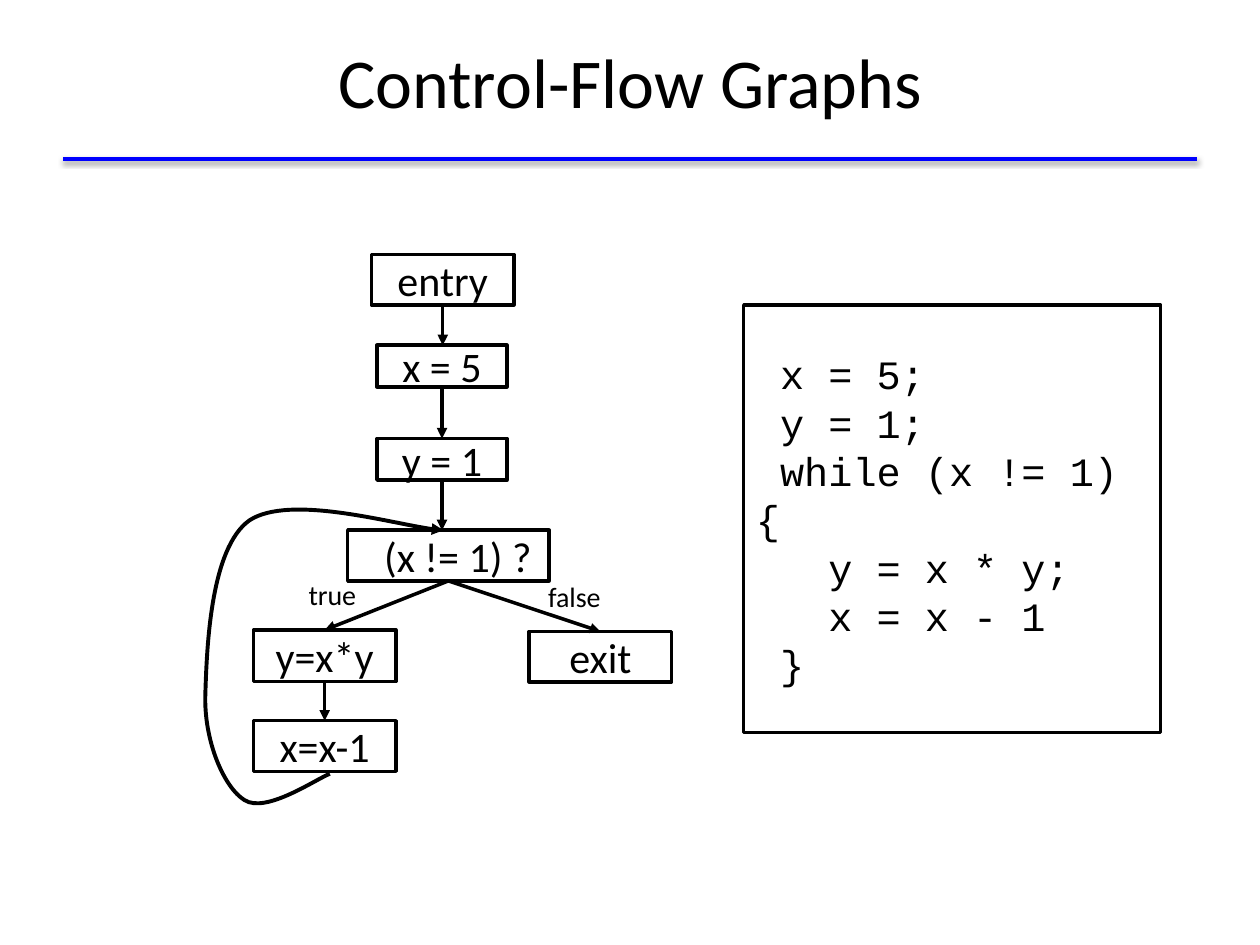
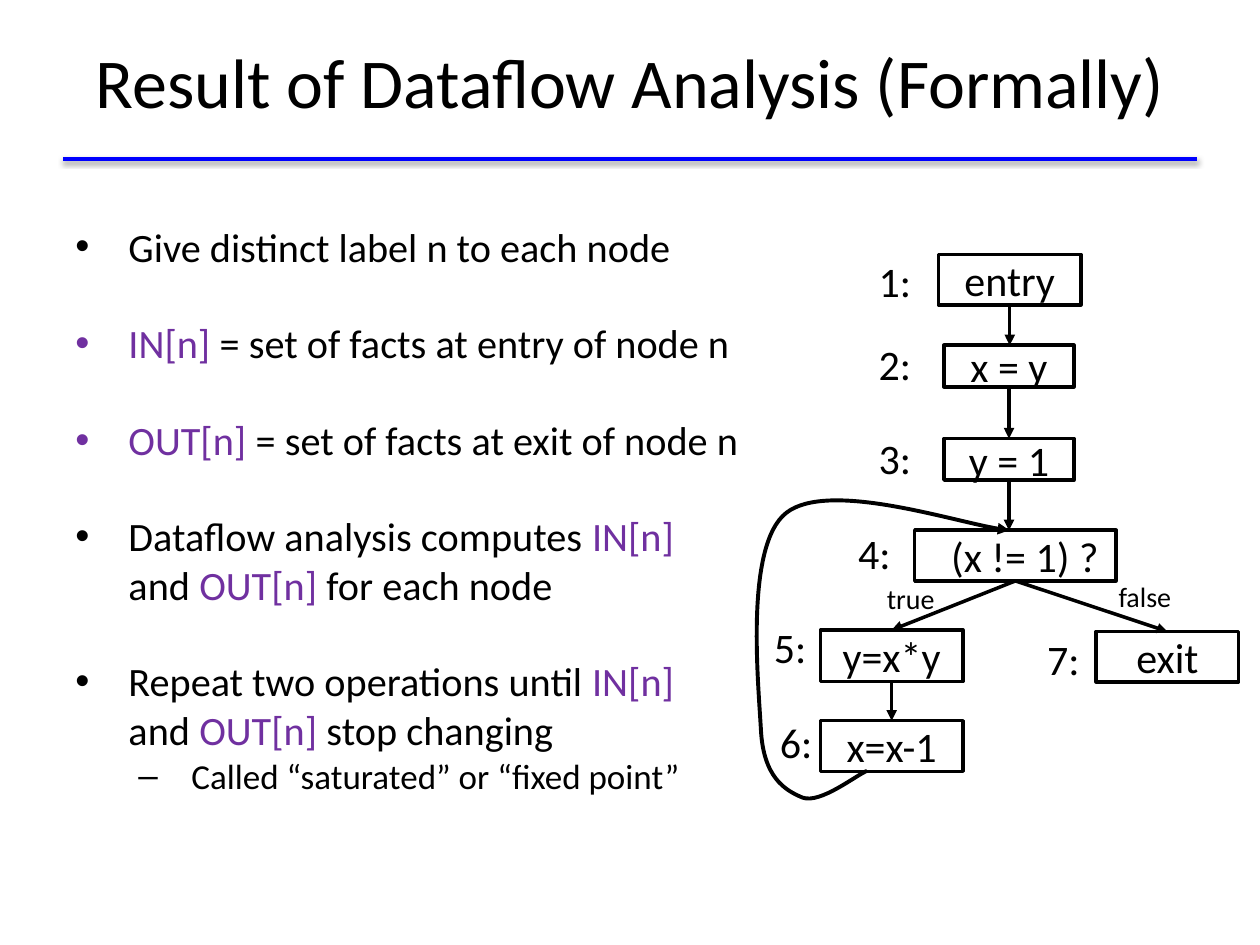
from dataclasses import dataclass

from lxml import etree
from pptx import Presentation
from pptx.dml.color import RGBColor
from pptx.enum.shapes import MSO_CONNECTOR, MSO_SHAPE
from pptx.enum.text import MSO_ANCHOR, MSO_AUTO_SIZE, PP_ALIGN
from pptx.oxml import parse_xml
from pptx.oxml.ns import nsdecls, qn
from pptx.util import Cm, Pt

STRAIGHT = MSO_CONNECTOR.STRAIGHT
RECTANGLE = MSO_SHAPE.RECTANGLE
MIDDLE, TOP = MSO_ANCHOR.MIDDLE, MSO_ANCHOR.TOP
NO_AUTOFIT = MSO_AUTO_SIZE.NONE
LEFT, CENTER = PP_ALIGN.LEFT, PP_ALIGN.CENTER

COLORS = {"ink": "000000", "rule": "0000FF", "fact": "7030A0"}
TEXT_FONT, CODE_FONT = "Calibri", "Courier New"
TITLE_ONLY, TITLE_AND_BODY = 5, 1
LINE_PITCH = 27.6  # points, for code and list
GRAPH_SHIFT = 11.43  # cm from the left graph to the right one


# All lengths in the records below are centimetres.
@dataclass(frozen=True)
class Node:
    left: float
    top: float
    width: float = 2.87
    height: float = 1.02
    indent: float = 0.0

    @property
    def center(self) -> float:
        return self.left + self.width / 2

    @property
    def bottom(self) -> float:
        return self.top + self.height


@dataclass(frozen=True)
class Label:
    text: str
    left: float
    top: float
    align: PP_ALIGN = LEFT
    size: int = 16
    width: float = 1.7
    height: float = 0.91


@dataclass(frozen=True)
class Graph:
    shift: float
    first_statement: str
    loop_start: tuple
    loop_curves: tuple  # each: two control points and an end point
    labels: tuple


NODES = {
    "entry": Node(7.49, 5.13),
    "first": Node(7.6, 6.96, 2.62, 0.84),
    "second": Node(7.6, 8.84, 2.62, 0.84),
    "test": Node(7.01, 10.69, 4.06, indent=0.38),
    "multiply": Node(5.11, 12.7, height=1.04),
    "decrement": Node(5.11, 14.53),
    "exit": Node(10.67, 12.73),
}
STEPS = [("entry", "first"), ("first", "second"), ("second", "test"),
         ("multiply", "decrement")]
BRANCHES = [("test", "multiply"), ("test", "exit")]


# Text and line helpers
def add_run(para, text: str, size: float, color: str = "ink",
            font: str = TEXT_FONT) -> None:
    span = para.add_run()
    span.text = text
    span.font.name = font
    span.font.size = Pt(size)
    span.font.color.rgb = RGBColor.from_string(COLORS[color])


def set_frame(frame, anchor=MIDDLE, side: float = 0.25,
              edge: float = 0.13, indent: float = 0.0) -> None:
    frame.word_wrap = True
    frame.auto_size = NO_AUTOFIT
    frame.vertical_anchor = anchor
    frame.margin_left, frame.margin_right = Cm(side + indent), Cm(side)
    frame.margin_top = frame.margin_bottom = Cm(edge)


def place(box, left: float, top: float, width: float, height: float) -> None:
    box.left, box.top = Cm(left), Cm(top)
    box.width, box.height = Cm(width), Cm(height)


def set_line(shape, width: float, color: str = "ink", arrow: bool = False) -> None:
    shape.line.color.rgb = RGBColor.from_string(COLORS[color])
    shape.line.width = Pt(width)
    if arrow:
        outline = shape.element.spPr.find(qn("a:ln"))
        etree.SubElement(outline, qn("a:tailEnd"), type="triangle")


def add_line(page, start: tuple, end: tuple, color: str = "ink",
             arrow: bool = True):
    line = page.shapes.add_connector(STRAIGHT, *map(Cm, start + end))
    set_line(line, 2, color, arrow)
    effects = etree.SubElement(line.element.spPr, qn("a:effectLst"))
    return line, effects


def add_box(page, node: Node, shift: float = 0, width: float = 2):
    box = page.shapes.add_shape(RECTANGLE, Cm(node.left + shift), Cm(node.top),
                                Cm(node.width), Cm(node.height))
    box.shadow.inherit = False
    box.fill.background()
    set_line(box, width)
    set_frame(box.text_frame, indent=node.indent)
    return box


# Shared slide parts
def add_master_rule(deck, page) -> None:
    line, effects = add_line(page, (1.27, 3.2), (22.86 + 1.27, 3.2), "rule", False)
    effects.append(parse_xml(
        f'<a:outerShdw {nsdecls("a")} blurRad="40000" dist="20000" dir="5400000" '
        'rotWithShape="0"><a:srgbClr val="000000"><a:alpha val="38000"/>'
        "</a:srgbClr></a:outerShdw>"))
    deck.slide_master.shapes.element.append(line.element)


def add_page(deck, layout: int, title: str):
    page = deck.slides.add_slide(deck.slide_layouts[layout])
    box = page.shapes.title
    place(box, 1.27, 0.03, 22.86, 3.18)
    set_frame(box.text_frame)
    para = box.text_frame.paragraphs[0]
    para.alignment = CENTER
    add_run(para, title, 40)
    return page


# Control-flow graph
def add_loop(page, graph: Graph) -> None:
    builder = page.shapes.build_freeform(*map(Cm, graph.loop_start))
    ends = [tuple(map(Cm, curve[-1])) for curve in graph.loop_curves]
    builder.add_line_segments(ends, close=False)
    loop = builder.convert_to_shape()
    loop.shadow.inherit = False
    loop.fill.background()
    set_line(loop, 2.25, arrow=True)
    # Turn each straight segment into a Bezier curve
    segments = list(loop.element.iter(qn("a:lnTo")))
    for segment, curve in zip(segments, graph.loop_curves):
        bezier = etree.Element(qn("a:cubicBezTo"))
        for x, y in curve:
            etree.SubElement(bezier, qn("a:pt"), x=str(Cm(x) - loop.left),
                             y=str(Cm(y) - loop.top))
        segment.getparent().replace(segment, bezier)


def add_label(page, label: Label) -> None:
    box = page.shapes.add_textbox(Cm(label.left), Cm(label.top),
                                  Cm(label.width), Cm(label.height))
    set_frame(box.text_frame, edge=0.25)
    para = box.text_frame.paragraphs[0]
    para.alignment = label.align
    add_run(para, label.text, label.size)


def add_graph(page, graph: Graph) -> None:
    texts = {"entry": "entry", "first": graph.first_statement, "second": "y = 1",
             "test": "(x != 1) ?", "multiply": "y=x*y", "decrement": "x=x-1",
             "exit": "exit"}
    add_loop(page, graph)
    for name, node in NODES.items():
        para = add_box(page, node, graph.shift).text_frame.paragraphs[0]
        para.alignment = CENTER
        add_run(para, texts[name], 24)
    for source, target in STEPS + BRANCHES:
        start, end = NODES[source], NODES[target]
        end_x = end.center if (source, target) in BRANCHES else start.center
        add_line(page, (start.center + graph.shift, start.bottom),
                 (end_x + graph.shift, end.top))
    for label in graph.labels:
        add_label(page, label)


def number(text: str, left: float, top: float, align: PP_ALIGN = CENTER) -> Label:
    return Label(text, left, top, align, 24, 1.78, 1.04)


PROGRAM_GRAPH = Graph(
    0, "x = 5", (6.65, 15.6),
    (((6.38, 15.7), (5.36, 16.41), (4.93, 16.13)),
     ((4.52, 15.88), (4.11, 14.94), (4.14, 14)),
     ((4.17, 13.06), (4.24, 11.05), (5.03, 10.49)),
     ((5.84, 9.96), (8.31, 10.67), (8.94, 10.69))),
    (Label("true", 5.97, 11.53), Label("false", 10.8, 11.56)))

NUMBERED_GRAPH = Graph(
    GRAPH_SHIFT, "x = y", (17.48, 15.54),
    (((17.27, 15.62), (16.54, 16.21), (16.18, 16.08)),
     ((15.82, 15.93), (15.39, 15.67), (15.34, 14.71)),
     ((15.29, 13.77), (15.01, 11), (15.85, 10.34)),
     ((16.69, 9.68), (19.61, 10.64), (20.35, 10.69))),
    (number("1:", 17.15, 5.13), number("2:", 17.15, 6.81),
     number("3:", 17.15, 8.71), number("4:", 16.74, 10.62),
     number("5:", 15.04, 12.52), number("6:", 15.47, 14.43, LEFT),
     number("7:", 20.55, 12.75),
     Label("true", 17.63, 11.61), Label("false", 22.3, 11.56)))

CODE = [" x = 5;", " y = 1;", " while (x != 1) {", "   y = x * y;",
        "   x = x - 1", " }"]

IN_SET, OUT_SET = ("IN[n]", "fact"), ("OUT[n]", "fact")
POINTS = [
    [("Give distinct label n to each node", "ink")],
    [IN_SET, (" = set of facts at entry of node n", "ink")],
    [OUT_SET, (" = set of facts at exit of node n", "ink")],
    [("Dataflow analysis computes ", "ink"), IN_SET, (" and ", "ink"), OUT_SET,
     (" for each node", "ink")],
    [("Repeat two operations until ", "ink"), IN_SET, (" and ", "ink"), OUT_SET,
     (" stop changing", "ink")],
]
SUBPOINT = [("Called “saturated” or “fixed point”", "ink")]


# Code listing and bullet list
def add_code(page) -> None:
    frame = add_box(page, Node(14.99, 6.15, 8.41, 8.61), width=1.75).text_frame
    for index, text in enumerate(CODE):
        para = frame.add_paragraph() if index else frame.paragraphs[0]
        para.alignment = LEFT
        para.line_spacing = Pt(LINE_PITCH)
        add_run(para, text, 23, font=CODE_FONT)


def add_points(page) -> None:
    body = page.placeholders[1]
    place(body, 1.07, 4.22, 14.15, 12.04)
    frame = body.text_frame
    set_frame(frame, TOP, edge=0.25)
    for index, spans in enumerate(POINTS + [SUBPOINT]):
        para = frame.add_paragraph() if index else frame.paragraphs[0]
        level = int(spans is SUBPOINT)
        para.level = level
        para.line_spacing = Pt(25 if level else LINE_PITCH)
        para.space_before = Pt(LINE_PITCH if index and not level else 0)
        properties = para._p.get_or_add_pPr()
        properties.set("marL", str(Cm(1.27 * (level + 1))))
        properties.set("indent", str(Cm(-1.07)))
        for text, color in spans:
            add_run(para, text, 20 if level else 23, color)


deck = Presentation()
deck.slide_width, deck.slide_height = Cm(25.4), Cm(19.05)

# Slide 1: program and its graph
graph_page = add_page(deck, TITLE_ONLY, "Control-Flow Graphs")
add_master_rule(deck, graph_page)
add_code(graph_page)
add_graph(graph_page, PROGRAM_GRAPH)

# Slide 2: facts at each numbered node
result_page = add_page(deck, TITLE_AND_BODY, "Result of Dataflow Analysis (Formally)")
add_points(result_page)
add_graph(result_page, NUMBERED_GRAPH)

deck.save("out.pptx")
